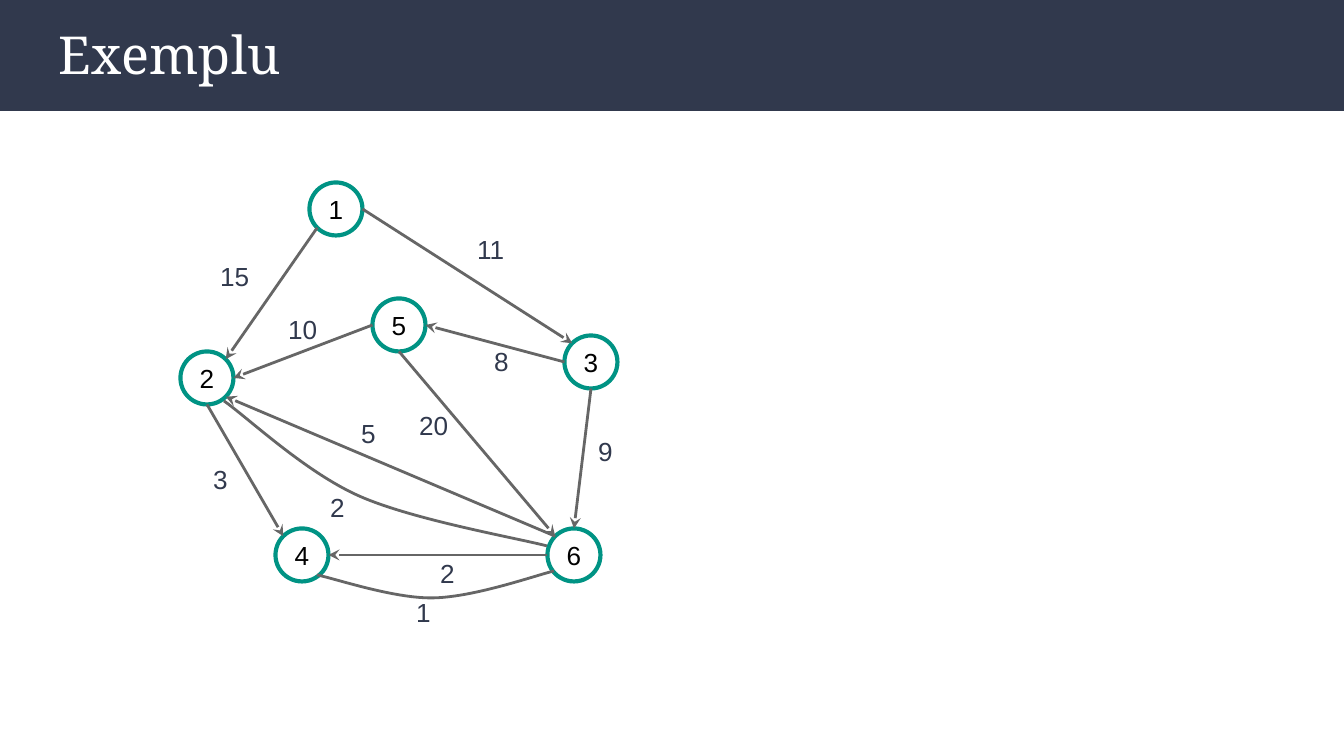
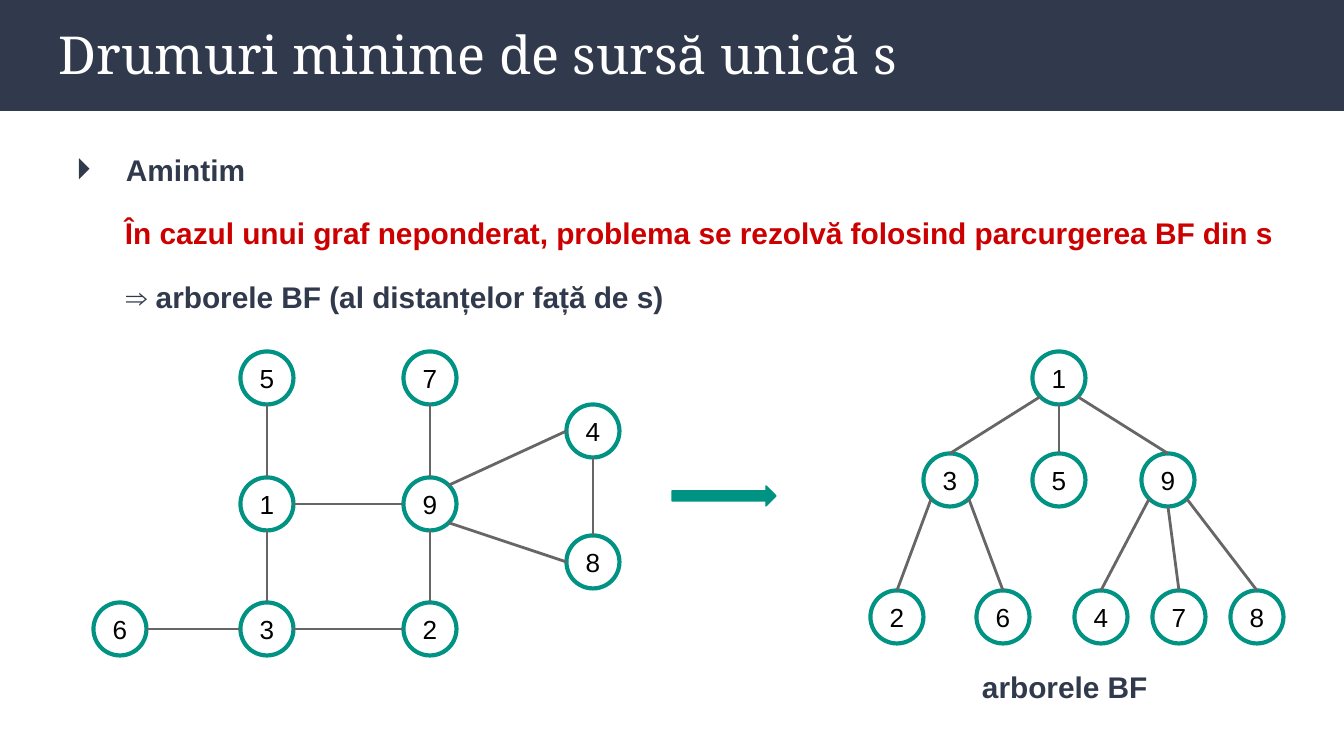
import math

from lxml import etree
from pptx import Presentation
from pptx import util as u
from pptx.dml.color import RGBColor
from pptx.enum import shapes as kinds, text as t
from pptx.oxml.ns import qn

PX = 914400 / 134.4  # EMU in one px
NAVY, TEAL, GREY, RED = "31394D", "009384", "666666", "CC0000"
WHITE, BLACK = "FFFFFF", "000000"
SERIF, SANS = "Noto Serif", "Arial"
INSET = 13
NODE = 53  # node diameter

# Connection sites of an ellipse, counter-clockwise from the top
N, NW, W, SW, S, SE, E, NE = range(8)


def px(length):
    return u.Emu(round(length * PX))


def color(hex_code):
    return RGBColor.from_string(hex_code)


def place(shape, left, top, width, height):
    shape.left, shape.top, shape.width, shape.height = map(px, (left, top, width, height))


def set_frame(frame, inset=INSET, anchor=t.MSO_ANCHOR.TOP, fit=t.MSO_AUTO_SIZE.NONE):
    frame.margin_left = frame.margin_right = px(inset)
    frame.margin_top = frame.margin_bottom = px(inset)
    frame.vertical_anchor = anchor
    frame.word_wrap = True
    frame.auto_size = fit


def write(paragraph, words, size=14, font=SANS, ink=NAVY, bold=False,
          align=t.PP_ALIGN.LEFT, spacing=None, before=0, after=0):
    paragraph.alignment = align
    paragraph.line_spacing = spacing
    paragraph.space_before, paragraph.space_after = u.Pt(before), u.Pt(after)
    run = paragraph.add_run()
    run.text = words
    run.font.size, run.font.name, run.font.bold = u.Pt(size), font, bold
    run.font.color.rgb = color(ink)


def set_list_format(paragraph, margin, indent, bullet=None):
    props = paragraph._p.get_or_add_pPr()
    props.set("marL", str(px(margin)))
    props.set("indent", str(px(indent)))
    if bullet:
        tint = etree.SubElement(props, qn("a:buClr"))
        etree.SubElement(tint, qn("a:srgbClr"), val=NAVY)
        etree.SubElement(props, qn("a:buFont"), typeface=SANS)
        etree.SubElement(props, qn("a:buChar"), char=bullet)
    else:
        etree.SubElement(props, qn("a:buNone"))


def set_line(shape, ink, width):
    shape.line.color.rgb = color(ink)
    shape.line.width = u.Pt(width)


def add_solid(canvas, kind, left, top, width, height, ink):
    solid = canvas.add_shape(kind, px(left), px(top), px(width), px(height))
    solid.shadow.inherit = False
    solid.fill.solid()
    solid.fill.fore_color.rgb = color(ink)
    solid.line.fill.background()
    return solid


def add_label(canvas, words, left, top, width=63, height=59, **look):
    label = canvas.add_textbox(px(left), px(top), px(width), px(height))
    set_frame(label.text_frame, fit=t.MSO_AUTO_SIZE.SHAPE_TO_FIT_TEXT)
    write(label.text_frame.paragraphs[0], words, **look)


def add_node(canvas, number, center):
    left, top = (c - NODE / 2 for c in center)
    node = canvas.add_shape(kinds.MSO_SHAPE.OVAL, px(left), px(top), px(NODE), px(NODE))
    node.shadow.inherit = False
    node.fill.background()
    set_line(node, TEAL, 2.25)
    set_frame(node.text_frame, inset=3, anchor=t.MSO_ANCHOR.MIDDLE)
    write(node.text_frame.paragraphs[0], str(number), ink=BLACK, align=t.PP_ALIGN.CENTER)
    return node


def site_point(center, site):
    angle = site * math.pi / 4
    return (px(center[0] - NODE / 2 * math.sin(angle)),
            px(center[1] - NODE / 2 * math.cos(angle)))


def add_edge(canvas, start, end, joined, directed):
    edge = canvas.add_connector(kinds.MSO_CONNECTOR.STRAIGHT, *start, *end)
    set_line(edge, GREY, 1.5)
    if directed:
        etree.SubElement(edge.line._get_or_add_ln(), qn("a:tailEnd"), type="stealth")
    etree.SubElement(edge._element.spPr, qn("a:effectLst"))
    # begin_connect knows four sites only; an ellipse has eight
    links = edge._element.nvCxnSpPr.cNvCxnSpPr
    for tag, (node, site) in zip(("a:stCxn", "a:endCxn"), joined):
        etree.SubElement(links, qn(tag), id=str(node.shape_id), idx=str(site))


def add_graph(canvas, centers, edges, directed=False):
    nodes = {number: add_node(canvas, number, at) for number, at in centers.items()}
    for a, a_site, b, b_site in edges:
        add_edge(canvas, site_point(centers[a], a_site), site_point(centers[b], b_site),
                 ((nodes[a], a_site), (nodes[b], b_site)), directed)


def add_curve(canvas, start, *points):
    """Draw cubic curves: every three points are two handles and an end."""
    builder = canvas.build_freeform(*start, scale=PX)
    builder.add_line_segments(points, close=False)
    curve = builder.convert_to_shape()
    curve.shadow.inherit = False
    curve.fill.background()
    set_line(curve, GREY, 1.5)
    segments = list(curve._element.iter(qn("a:lnTo")))
    outline = segments[0].getparent()
    for i in range(0, len(segments), 3):
        bend = etree.SubElement(outline, qn("a:cubicBezTo"))
        for segment in segments[i:i + 3]:
            bend.append(segment[0])
            outline.remove(segment)


def add_slide(prs, layout, heading):
    slide = prs.slides.add_slide(prs.slide_layouts[layout])
    title = slide.shapes.title
    place(title, 46, 8, 1252, 91)
    set_frame(title.text_frame, anchor=t.MSO_ANCHOR.MIDDLE)
    write(title.text_frame.paragraphs[0], heading, size=28, font=SERIF, ink=WHITE)
    return slide


def add_master_band(prs, slide):
    band = add_solid(slide.shapes, kinds.MSO_SHAPE.RECTANGLE, 0, 0, 1344, 111, NAVY)
    prs.slide_master.shapes._spTree.insert(2, band._element)


def build_example(prs):
    slide = add_slide(prs, 5, "Exemplu")
    add_master_band(prs, slide)
    canvas = slide.shapes.add_group_shape().shapes

    # Weighted directed graph
    centers = {1: (336, 209), 2: (207, 378), 5: (399, 325),
               6: (574, 555), 4: (302, 555), 3: (591, 362)}
    edges = [(1, SW, 2, NE), (1, E, 3, NW), (5, W, 2, E), (3, W, 5, E), (2, S, 4, NW),
             (6, NW, 2, SE), (6, W, 4, E), (5, S, 6, NW), (3, S, 6, N)]
    add_graph(canvas, centers, edges, directed=True)
    add_curve(canvas, (224, 401), (247, 417), (305, 472), (359, 496),
              (413, 520), (516, 538), (547, 546))
    add_curve(canvas, (317, 575), (336, 579), (392, 598), (431, 598),
              (472, 598), (534, 576), (554, 571))

    # Edge weights
    weights = [(15, 207, 247), (11, 464, 220), (10, 275, 300), (8, 481, 332),
               (9, 585, 422), (2, 427, 544), (5, 348, 404), (3, 200, 450),
               (20, 406, 396), (2, 317, 478), (1, 403, 583)]
    for weight, left, top in weights:
        add_label(canvas, str(weight), left, top)


def build_shortest_paths(prs):
    slide = add_slide(prs, 1, "Drumuri minime de sursă unică s")

    # Reminder
    reminder = slide.placeholders[1]
    place(reminder, 46, 133, 1252, 552)
    frame = reminder.text_frame
    set_frame(frame)
    lines = [
        ("Amintim", NAVY, 0, 0, (67, -50, "⏵")),
        ("În cazul unui graf neponderat, problema se rezolvă folosind parcurgerea BF din s",
         RED, 12, 0, (66, 0)),
        ("⇒ arborele BF (al distanțelor față de s)", NAVY, 12, 12, (66, 1)),
    ]
    for i, (words, ink, before, after, list_format) in enumerate(lines):
        paragraph = frame.add_paragraph() if i else frame.paragraphs[0]
        write(paragraph, words, size=16, ink=ink, bold=True, spacing=1.15,
              before=before, after=after)
        set_list_format(paragraph, *list_format)

    # Unweighted graph
    left, middle, right = range(267, 594, 163)
    top, center, bottom = 378, 504, 629
    centers = {5: (left, top), 1: (left, center), 3: (left, bottom), 6: (120, bottom),
               7: (middle, top), 9: (middle, center), 2: (middle, bottom),
               4: (right, 431), 8: (right, 562)}
    edges = [(5, S, 1, N), (1, S, 3, N), (3, W, 6, E), (3, E, 2, W), (1, E, 9, W),
             (9, S, 2, N), (7, S, 9, N), (9, NE, 4, W), (4, S, 8, N), (9, SE, 8, W)]
    add_graph(slide.shapes.add_group_shape().shapes, centers, edges)

    arrow = add_solid(slide.shapes, kinds.MSO_SHAPE.RIGHT_ARROW, 672, 486, 104, 20, TEAL)
    set_line(arrow, TEAL, 0.75)

    # Breadth-first tree
    root, inner, leaf = 378, 480, 617
    centers = {1: (1059, root), 9: (1168, inner), 5: (1059, inner), 3: (950, inner),
               2: (897, leaf), 6: (1003, leaf), 8: (1257, leaf), 7: (1179, leaf),
               4: (1101, leaf)}
    branches = [(1, SW, 3), (1, S, 5), (1, SE, 9), (3, SW, 2), (3, SE, 6),
                (9, SW, 4), (9, S, 7), (9, SE, 8)]
    add_graph(slide.shapes.add_group_shape().shapes, centers,
              [(*branch, N) for branch in branches])
    add_label(slide.shapes, "arborele BF", 969, 656, 216, 63, size=16, bold=True)


def main():
    prs = Presentation()
    prs.slide_width, prs.slide_height = px(1344), px(756)
    build_example(prs)
    build_shortest_paths(prs)
    prs.save("out.pptx")


if __name__ == "__main__":
    main()
